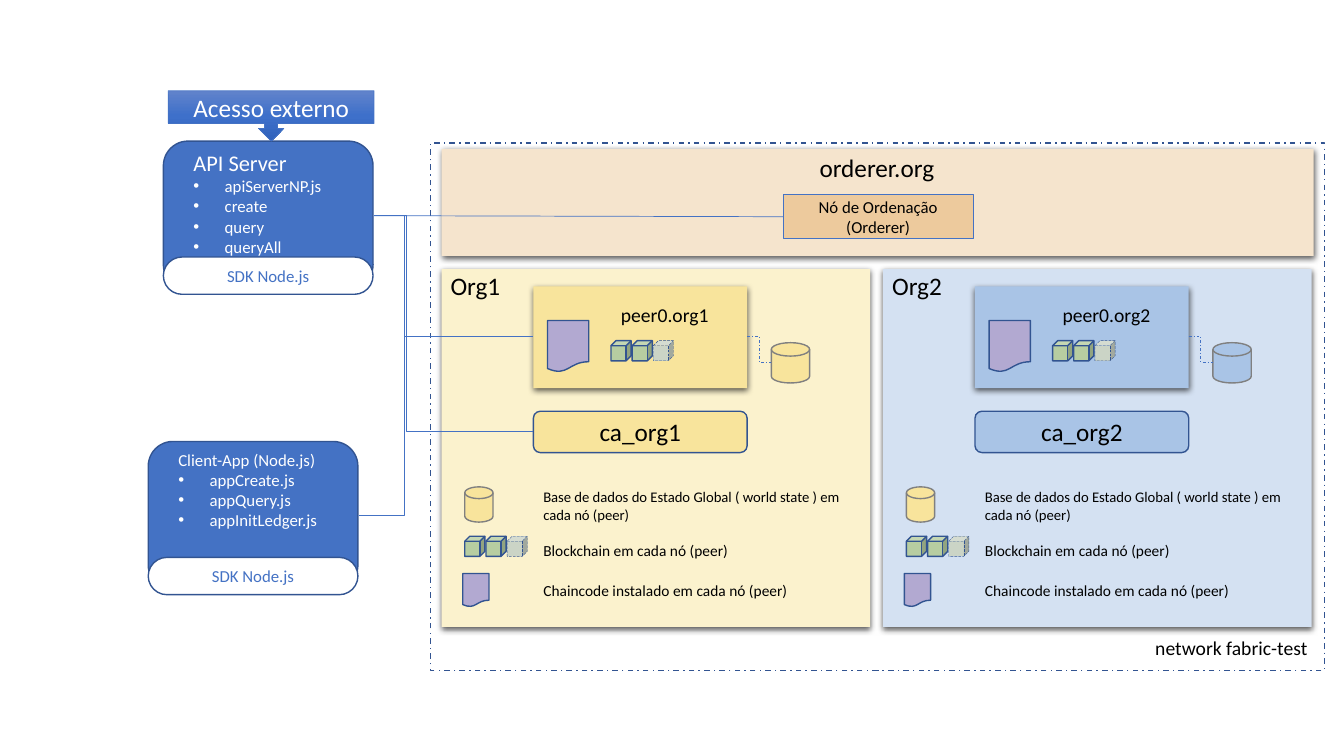
import copy
from dataclasses import dataclass

import pptx
import pptx.dml.color
import pptx.enum.dml
import pptx.enum.shapes
import pptx.enum.text
import pptx.oxml
import pptx.oxml.ns
import pptx.util

Inches = pptx.util.Inches
Pt = pptx.util.Pt
qn = pptx.oxml.ns.qn
Kind = pptx.enum.shapes.MSO_SHAPE
Dash = pptx.enum.dml.MSO_LINE
Align = pptx.enum.text.PP_ALIGN


@dataclass(frozen=True)
class Theme:
    font: str = "Calibri"
    black: str = "000000"
    white: str = "FFFFFF"
    blue: str = "4472C4"
    navy: str = "325491"
    gray: str = "808080"
    sand: str = "F5E4CD"
    orange: str = "EDCA9D"
    gold: str = "F8E49C"
    cream: str = "FBF2CD"
    sky: str = "A9C4E6"
    ice: str = "D4E1F2"
    purple: str = "B2A9D1"
    green: str = "B7CDA1"
    pale_green: str = "CBD4C6"
    callout: tuple = ("6183CB", "3E70CA", "3062BB")
    title: float = 18
    server: float = 16
    peer: float = 14
    body: float = 12
    legend: float = 11
    legend_long: float = 10.5


THEME = Theme()


def rgb(code):
    return pptx.dml.color.RGBColor.from_string(code)


def add_xml(parent, markup):
    namespaces = pptx.oxml.ns.nsdecls("a")
    parent.append(pptx.oxml.parse_xml(markup.replace(" ", f" {namespaces} ", 1)))


def write(shape, text, size=THEME.body, color=THEME.black, align=Align.CENTER, bullets=()):
    """Put the lines of a text, then bulleted lines of body size, into a shape."""
    frame = shape.text_frame
    plain = text.split("\n")
    for index, line in enumerate((*plain, *bullets)):
        bulleted = index >= len(plain)
        para = frame.add_paragraph() if index else frame.paragraphs[0]
        para.alignment = align
        span = para.add_run()
        span.text = line
        span.font.name = THEME.font
        span.font.size = Pt(THEME.body if bulleted else size)
        span.font.color.rgb = rgb(color)
        if bulleted:
            properties = para._p.get_or_add_pPr()
            properties.set("marL", str(Inches(0.31)))
            properties.set("indent", str(-Inches(0.31)))
            add_xml(properties, '<a:buFont typeface="Arial"/>')
            add_xml(properties, '<a:buChar char="•"/>')


def add_label(shapes, text, left, top, width, height, wrap=False, **text_format):
    box = shapes.add_textbox(Inches(left), Inches(top), Inches(width), Inches(height))
    box.text_frame.word_wrap = wrap
    box.text_frame.auto_size = pptx.enum.text.MSO_AUTO_SIZE.SHAPE_TO_FIT_TEXT
    write(box, text, align=Align.LEFT, **text_format)


def add_block(shapes, kind, left, top, width, height, fill=None, line=None,
              weight=1, dash=None, shadow=False):
    block = shapes.add_shape(kind, Inches(left), Inches(top), Inches(width), Inches(height))
    block.shadow.inherit = False
    if shadow:
        add_xml(block._element.spPr.find(qn("a:effectLst")),
                f'<a:outerShdw blurRad="{Pt(4.5)}" dist="{Pt(1.5)}" dir="5400000" rotWithShape="0">'
                '<a:srgbClr val="000000"><a:alpha val="63000"/></a:srgbClr></a:outerShdw>')
    if fill:
        block.fill.solid()
        block.fill.fore_color.rgb = rgb(fill)
    else:
        block.fill.background()
    if line:
        block.line.color.rgb = rgb(line)
        block.line.width = Pt(weight)
        if dash:
            block.line.dash_style = dash
    else:
        block.line.fill.background()
    block.text_frame.vertical_anchor = pptx.enum.text.MSO_ANCHOR.MIDDLE
    return block


def add_link(shapes, start, end, bend=None, dash=None):
    """Draw a thin line; bend is the share of its width where an elbow turns."""
    types = pptx.enum.shapes.MSO_CONNECTOR
    link = shapes.add_connector(types.STRAIGHT if bend is None else types.ELBOW,
                                *(Inches(value) for value in (*start, *end)))
    link.line.color.rgb = rgb(THEME.blue)
    link.line.width = Pt(0.5)
    if dash:
        link.line.dash_style = dash
    if bend is not None:
        guides = link._element.spPr.find(qn("a:prstGeom")).get_or_add_avLst()
        add_xml(guides, f'<a:gd name="adj1" fmla="val {round(bend * 100000)}"/>')
    add_xml(link._element.spPr, "<a:effectLst />")


def add_blockchain(shapes, left, top):
    for index in range(3):
        look = (dict(fill=THEME.green) if index < 2 else
                dict(fill=THEME.pale_green, weight=0.25, dash=Dash.LONG_DASH))
        add_block(shapes, Kind.CUBE, left + 0.21 * index, top, 0.2, 0.2, line=THEME.navy, **look)


def add_chaincode(shapes, left, top, width, height):
    add_block(shapes, Kind.FLOWCHART_DOCUMENT, left, top, width, height, THEME.purple, THEME.navy)


def add_database(shapes, left, top, width, height, fill):
    add_block(shapes, Kind.FLOWCHART_MAGNETIC_DISK, left, top, width, height, fill, THEME.gray)


def add_legend(shapes, left):
    add_database(shapes, left + 0.23, 4.83, 0.28, 0.35, THEME.gold)
    add_blockchain(shapes, left + 0.23, 5.32)
    add_chaincode(shapes, left + 0.21, 5.69, 0.26, 0.33)
    add_label(shapes, "Base de dados do Estado Global ( world state ) em cada nó (peer)",
              left + 0.91, 4.79, 3.26, 0.47, wrap=True, size=THEME.legend_long)
    add_label(shapes, "Blockchain em cada nó (peer)", left + 0.91, 5.32, 2.05, 0.29,
              size=THEME.legend)
    add_label(shapes, "Chaincode instalado em cada nó (peer)", left + 0.91, 5.72, 2.68, 0.29,
              size=THEME.legend)


def add_organisation(shapes, number, left, panel, accent):
    add_block(shapes, Kind.RECTANGLE, left, 2.67, 4.25, 3.55, panel, shadow=True)
    add_block(shapes, Kind.RECTANGLE, left + 0.91, 2.84, 2.12, 1.01, accent, shadow=True)
    add_chaincode(shapes, left + 1.05, 3.18, 0.41, 0.51)
    add_blockchain(shapes, left + 1.68, 3.38)
    add_label(shapes, f"peer0.org{number}", left + 1.68, 2.96, 1.08, 0.34, size=THEME.peer)
    add_label(shapes, f"Org{number}", left - 0.01, 2.63, 0.7, 0.4, size=THEME.title)
    add_database(shapes, left + 3.27, 3.4, 0.38, 0.4, accent)
    add_link(shapes, (left + 3.03, 3.34), (left + 3.27, 3.59), 0.5, Dash.DASH_DOT)
    authority = add_block(shapes, Kind.ROUNDED_RECTANGLE, left + 0.91, 4.08, 2.12, 0.41,
                          accent, THEME.navy)
    write(authority, f"ca_org{number}", size=THEME.title)
    add_legend(shapes, left)


def add_orderer(shapes):
    add_block(shapes, Kind.RECTANGLE, 4.38, 1.48, 8.65, 1.06, THEME.sand, shadow=True)
    node = add_block(shapes, Kind.RECTANGLE, 7.77, 1.93, 1.88, 0.44, THEME.orange, THEME.blue, 0.5)
    write(node, "Nó de Ordenação\n(Orderer)")
    add_label(shapes, "orderer.org", 8.03, 1.46, 1.35, 0.4, size=THEME.title)


def add_application(page, left, top, name, size, files, text_width, text_height):
    shapes = page.shapes.add_group_shape().shapes
    add_block(shapes, Kind.ROUNDED_RECTANGLE, left, top, 2.08, 1.47, THEME.blue, THEME.navy)
    add_label(shapes, name, left + 0.2, top + 0.03, text_width, text_height,
              size=size, color=THEME.white, bullets=files)
    kit = add_block(shapes, Kind.ROUNDED_RECTANGLE, left, top + 1.15, 2.08, 0.37,
                    THEME.white, THEME.navy)
    kit.adjustments[0] = 0.5
    write(kit, "SDK Node.js", color=THEME.blue)


def add_access_callout(shapes):
    callout = add_block(shapes, Kind.DOWN_ARROW_CALLOUT, 1.67, 0.9, 2.04, 0.5,
                        line=THEME.blue, weight=0.5)
    callout.fill.gradient()
    callout.fill.gradient_angle = 270
    stops = callout._element.spPr.find(qn("a:gradFill")).find(qn("a:gsLst"))
    stops.insert(1, copy.deepcopy(stops[0]))
    for index, stop in enumerate(callout.fill.gradient_stops):
        stop.position = index / 2
        stop.color.rgb = rgb(THEME.callout[index])
    write(callout, "Acesso externo", size=THEME.title, color=THEME.white)


def main():
    deck = pptx.Presentation()
    deck.slide_width, deck.slide_height = Inches(13.33), Inches(7.5)
    page = deck.slides.add_slide(deck.slide_layouts[6])
    shapes = page.shapes
    add_block(shapes, Kind.RECTANGLE, 4.27, 1.42, 8.87, 5.23, line=THEME.navy, dash=Dash.DASH_DOT)
    add_orderer(shapes)
    add_organisation(shapes, 1, 4.38, THEME.cream, THEME.gold)
    add_organisation(shapes, 2, 8.76, THEME.ice, THEME.sky)
    server, client, peer, authority = (3.71, 2.14), (3.56, 5.11), (5.29, 3.34), (5.29, 4.28)
    add_link(shapes, server, peer, 0.19)
    add_link(shapes, server, authority, 0.2)
    add_link(shapes, (7.77, 2.15), server)
    add_label(shapes, "network fabric-test", 11.36, 6.26, 1.73, 0.34, size=THEME.peer)
    add_application(page, 1.62, 1.4, "API Server", THEME.server,
                    ("apiServerNP.js", "create", "query", "queryAll"), 1.48, 1.18)
    add_application(page, 1.47, 4.38, "Client-App (Node.js)", THEME.body,
                    ("appCreate.js", "appQuery.js", "appInitLedger.js"), 1.59, 0.91)
    add_link(shapes, client, peer, 0.26)
    add_access_callout(shapes)
    deck.save("out.pptx")


if __name__ == "__main__":
    main()
